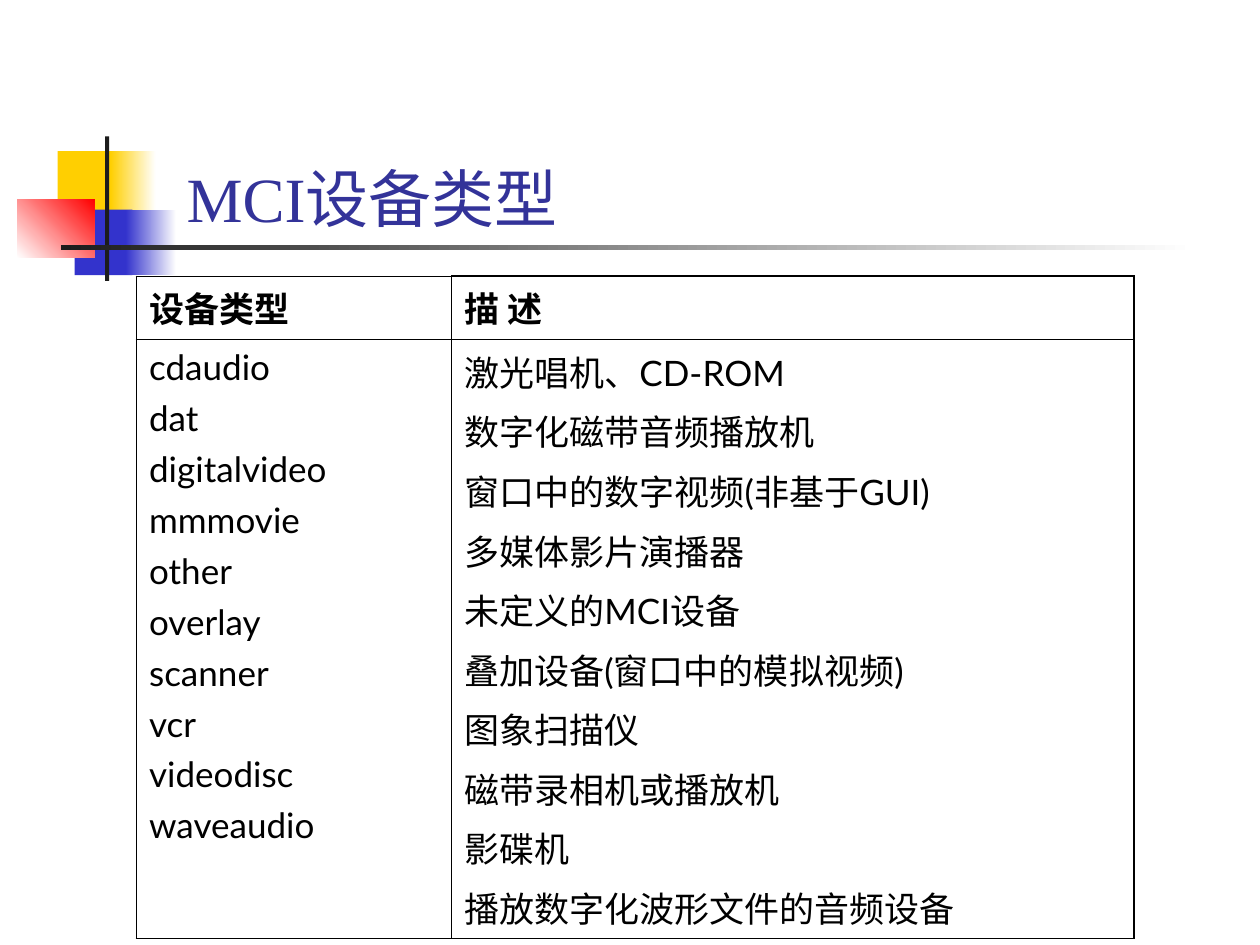
from lxml import etree
from pptx import Presentation
from pptx.dml.color import RGBColor
from pptx.enum.shapes import MSO_SHAPE
from pptx.enum.text import MSO_ANCHOR, PP_ALIGN
from pptx.oxml.ns import qn
from pptx.util import Pt

RECT = MSO_SHAPE.RECTANGLE
LEFT = PP_ALIGN.LEFT
TOP, BOTTOM = MSO_ANCHOR.TOP, MSO_ANCHOR.BOTTOM

HUES = {
    "white": "FFFFFF", "black": "000000", "ink": "1C1C1C", "gold": "FFCF01",
    "blue": "3333CC", "red": "FF0000", "title": "333399",
}
LATO, TIMES, NOTO = "Lato", "Times New Roman", "Noto Sans CJK SC"

TITLE = "MCI设备类型"
HEADS = ["设备类型", "描 述"]
TYPES = [
    ("cdaudio", "激光唱机、CD-ROM"),
    ("dat", "数字化磁带音频播放机"),
    ("digitalvideo", "窗口中的数字视频(非基于GUI)"),
    ("mmmovie", "多媒体影片演播器"),
    ("other", "未定义的MCI设备"),
    ("overlay", "叠加设备(窗口中的模拟视频)"),
    ("scanner", "图象扫描仪"),
    ("vcr", "磁带录相机或播放机"),
    ("videodisc", "影碟机"),
    ("waveaudio", "播放数字化波形文件的音频设备"),
]
BLOCKS = [
    ((33, 86.4, 34.8, 37.4), ["gold"], 0),
    ((63.2, 86.4, 25.8, 37.4), ["gold", "white"], 0),
    ((42.7, 119.8, 33, 37.4), ["blue"], 0),
    ((72, 119.8, 28.6, 37.4), ["blue", "white"], 0),
    ((9.8, 113.8, 44.2, 33.4), ["white", "red"], 45),
    ((60, 78, 2.4, 82.6), ["ink"], 0),
    ((34.8, 140.2, 648, 2.4), ["ink", "white"], 0),
]
WIDTHS = [180, 390]
HEIGHTS = [36, 342]
THIN, THICK = 0.45, 1.08


def hue(name):
    return RGBColor.from_string(HUES[name])


def write(frame, lines, font=LATO, size=20, color="black", bold=False, gap=5):
    frame.word_wrap = True
    for i, line in enumerate(lines):
        para = frame.paragraphs[0] if i == 0 else frame.add_paragraph()
        para.alignment = LEFT
        para.space_before = Pt(gap if i else 0)
        run = para.add_run()
        run.text = line
        run.font.name = font
        run.font.size = Pt(size)
        run.font.bold = bold
        run.font.color.rgb = hue(color)
        east = etree.Element(qn("a:ea"), typeface=NOTO)
        run.font._element.find(qn("a:latin")).addnext(east)


def block(slide, box, tones, angle):
    shape = slide.shapes.add_shape(RECT, *map(Pt, box))
    shape.shadow.inherit = False
    shape.line.fill.background()
    if len(tones) == 1:
        shape.fill.solid()
        shape.fill.fore_color.rgb = hue(tones[0])
        return
    shape.fill.gradient()
    shape.fill.gradient_angle = angle
    for stop, tone in zip(shape.fill.gradient_stops, tones):
        stop.color.rgb = hue(tone)


def border(cell, edges):
    props = cell._tc.get_or_add_tcPr()
    for i, (side, width) in enumerate(edges.items()):
        line = etree.Element(qn("a:ln" + side), w=str(int(Pt(width))))
        fill = etree.SubElement(line, qn("a:solidFill"))
        etree.SubElement(fill, qn("a:srgbClr"), val=HUES["black"])
        props.insert(i, line)


def grid(slide):
    frame = slide.shapes.add_table(
        2, 2, Pt(78), Pt(157.7), Pt(sum(WIDTHS)), Pt(sum(HEIGHTS)))
    table = frame.table
    for col, width in zip(table.columns, WIDTHS):
        col.width = Pt(width)
    for row, height in zip(table.rows, HEIGHTS):
        row.height = Pt(height)
    for c, names in enumerate(zip(*TYPES)):
        for r, lines in enumerate([[HEADS[c]], names]):
            cell = table.cell(r, c)
            cell.fill.background()
            cell.vertical_anchor = TOP
            write(cell.text_frame, lines, font=LATO if r else NOTO, bold=r == 0)
            border(cell, {
                "L": THIN if c else THICK,
                "R": THICK if c else THIN,
                "T": THICK if c and not r else THIN,
                "B": THICK if r else THIN,
            })


def main():
    deck = Presentation()
    deck.slide_width, deck.slide_height = Pt(720), Pt(540)
    slide = deck.slides.add_slide(deck.slide_layouts[5])
    for box, tones, angle in BLOCKS:
        block(slide, box, tones, angle)
    title = slide.shapes.title
    title.left, title.top, title.width, title.height = map(
        Pt, (90.7, 48.2, 613.4, 90))
    frame = title.text_frame
    frame.vertical_anchor = BOTTOM
    frame.margin_left = Pt(16)
    write(frame, [TITLE], font=TIMES, size=36, color="title")
    grid(slide)
    deck.save("out.pptx")


if __name__ == "__main__":
    main()
